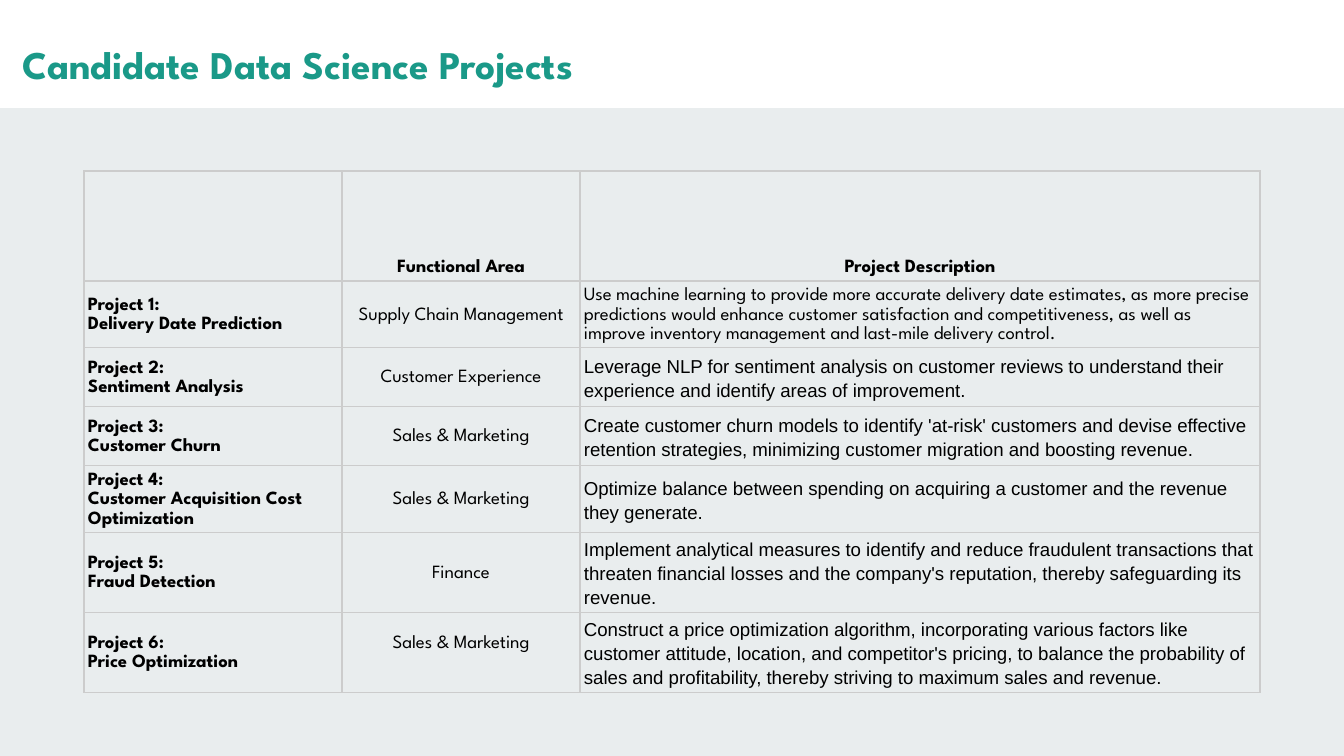
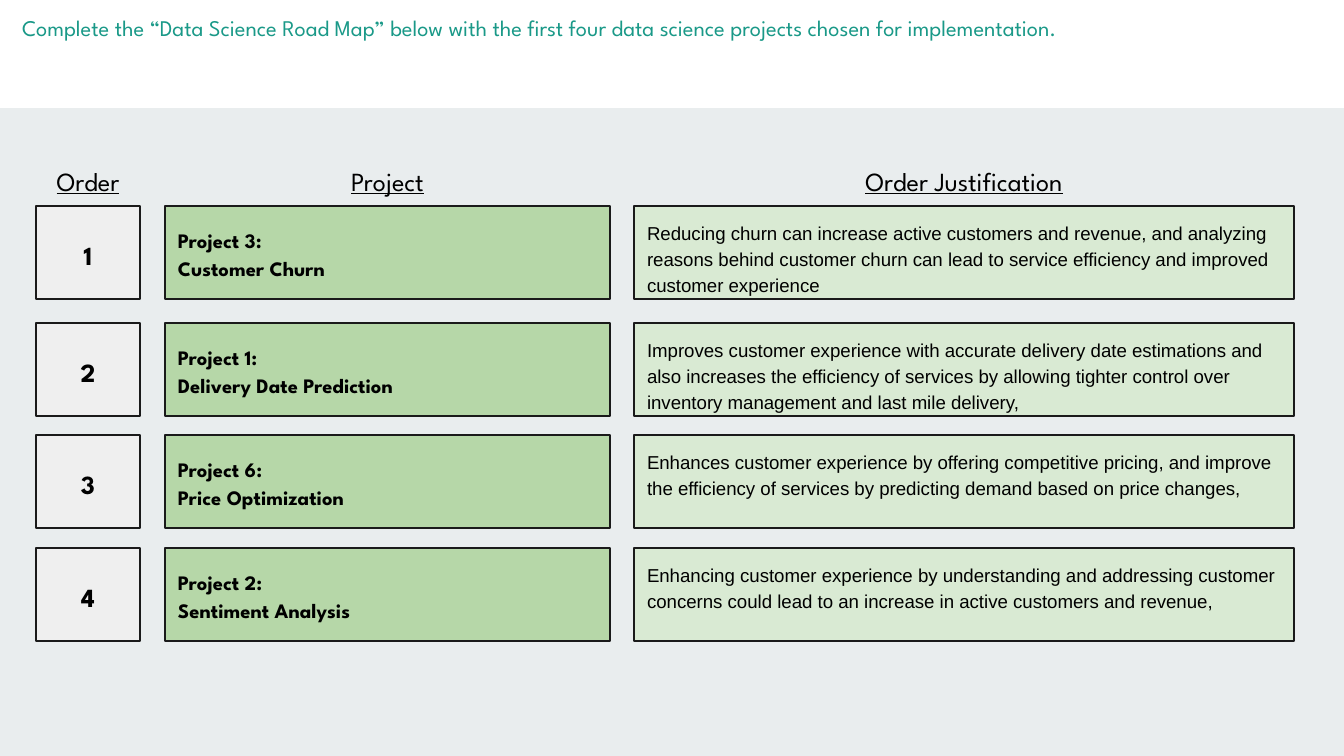
"""Build two slides: candidate data science projects and their road map."""
from lxml.etree import SubElement
from pptx import Presentation
from pptx.dml.color import RGBColor
from pptx.enum.shapes import MSO_SHAPE
from pptx.enum.text import MSO_ANCHOR, MSO_AUTO_SIZE, PP_ALIGN
from pptx.oxml.ns import qn
from pptx.util import Emu, Pt

WIDTH, HEIGHT = 1344, 756
SCALE = 9144000 / WIDTH
INSET, CELL_INSET = 13, 4

BACKGROUND = RGBColor(0xE9, 0xED, 0xEE)
WHITE = RGBColor(0xFF, 0xFF, 0xFF)
BLACK = RGBColor(0x00, 0x00, 0x00)
TEAL = RGBColor(0x1A, 0x99, 0x88)
OUTLINE = RGBColor(0x1A, 0x1A, 0x1A)
GREY = RGBColor(0xEF, 0xEF, 0xEF)
GREEN = RGBColor(0xB6, 0xD7, 0xA8)
PALE_GREEN = RGBColor(0xD9, 0xEA, 0xD3)
BORDER = "CCCCCC"
DISPLAY, BODY = "League Spartan", "Arial"

PROJECTS_TITLE = "Candidate Data Science Projects"
TABLE_HEADER = ("", "Functional Area", "Project Description")
PROJECTS = [
    ("Project 1:\nDelivery Date Prediction", "Supply Chain Management",
     "Use machine learning to provide more accurate delivery date estimates, as more precise "
     "predictions would enhance customer satisfaction and competitiveness, as well as improve "
     "inventory management and last-mile delivery control."),
    ("Project 2:\nSentiment Analysis", "Customer Experience",
     "Leverage NLP for sentiment analysis on customer reviews to understand their experience "
     "and identify areas of improvement."),
    ("Project 3:\nCustomer Churn", "Sales & Marketing",
     "Create customer churn models to identify 'at-risk' customers and devise effective "
     "retention strategies, minimizing customer migration and boosting revenue."),
    ("Project 4:\nCustomer Acquisition Cost Optimization", "Sales & Marketing",
     "Optimize balance between spending on acquiring a customer and the revenue they generate."),
    ("Project 5:\nFraud Detection", "Finance",
     "Implement analytical measures to identify and reduce fraudulent transactions that "
     "threaten financial losses and the company's reputation, thereby safeguarding its revenue."),
    ("Project 6:\nPrice Optimization", "Sales & Marketing",
     "Construct a price optimization algorithm, incorporating various factors like customer "
     "attitude, location, and competitor's pricing, to balance the probability of sales and "
     "profitability, thereby striving to maximum sales and revenue."),
]
TABLE_LEFT, TABLE_TOP = 84, 171
COLUMN_WIDTHS = (258, 238, 680)
HEADER_HEIGHT, ROW_HEIGHT = 110, 59

ROAD_MAP_TITLE = ("Complete the “Data Science Road Map” below with the first four "
                  "data science projects chosen for implementation.")
ROAD_MAP = [
    (3, "Reducing churn can increase active customers and revenue, and analyzing reasons behind "
        "customer churn can lead to service efficiency and improved customer experience"),
    (1, "Improves customer experience with accurate delivery date estimations and also increases "
        "the efficiency of services by allowing tighter control over inventory management and "
        "last mile delivery,"),
    (6, "Enhances customer experience by offering competitive pricing, and improve the efficiency "
        "of services by predicting demand based on price changes,"),
    (2, "Enhancing customer experience by understanding and addressing customer concerns could "
        "lead to an increase in active customers and revenue,"),
]
STEP_TOPS, STEP_HEIGHT = (206, 323, 435, 548), 93
HEADING_TOP, HEADING_HEIGHT = 156, 50
ROAD_MAP_COLUMNS = [
    {"heading": "Order", "heading_width": 103, "left": 36, "width": 104, "fill": GREY,
     "anchor": MSO_ANCHOR.MIDDLE,
     "style": {"size": 14, "bold": True, "align": PP_ALIGN.CENTER}},
    {"heading": "Project", "heading_width": 129, "left": 165, "width": 445, "fill": GREEN,
     "anchor": MSO_ANCHOR.MIDDLE, "style": {"size": 11, "bold": True}},
    {"heading": "Order Justification", "heading_width": 255, "left": 634, "width": 660,
     "fill": PALE_GREEN, "anchor": MSO_ANCHOR.TOP, "style": {"size": 10, "font": BODY}},
]


def px(length):
    return Emu(round(length * SCALE))


def place(left, top, width, height):
    return [px(length) for length in (left, top, width, height)]


def write(frame, text, size, font=DISPLAY, color=BLACK, bold=False, underline=False,
          align=PP_ALIGN.LEFT, spacing=1.15):
    frame.text = text
    for para in frame.paragraphs:
        para.alignment = align
        para.line_spacing = spacing
        para.font.name = font
        para.font.size = Pt(size)
        para.font.bold = bold
        para.font.underline = underline
        para.font.color.rgb = color


def set_frame(frame, anchor):
    frame.word_wrap = True
    frame.auto_size = MSO_AUTO_SIZE.NONE
    frame.vertical_anchor = anchor
    frame.margin_left = frame.margin_right = px(INSET)
    frame.margin_top = frame.margin_bottom = px(INSET)


def add_rectangle(page, bounds, fill, line=None):
    box = page.shapes.add_shape(MSO_SHAPE.RECTANGLE, *place(*bounds))
    box.shadow.inherit = False
    box.fill.solid()
    box.fill.fore_color.rgb = fill
    if line is None:
        box.line.fill.background()
    else:
        box.line.color.rgb = line
        box.line.width = Pt(0.75)
    return box


def add_page(deck, title, top, size, bold):
    page = deck.slides.add_slide(deck.slide_layouts[5])
    box = page.shapes.title
    box.left, box.top, box.width, box.height = place(9, top, 1134, 50)
    set_frame(box.text_frame, MSO_ANCHOR.TOP)
    write(box.text_frame, title, size, color=TEAL, bold=bold)
    return page


def add_shared_band(deck, page):
    deck.slide_master.background.fill.solid()
    deck.slide_master.background.fill.fore_color.rgb = BACKGROUND
    band = add_rectangle(page, (0, 0, WIDTH, 108), WHITE)
    page.slide_layout.shapes.element.insert(2, band.element)


def set_borders(cell):
    properties = cell._tc.get_or_add_tcPr()
    for side in ("lnL", "lnR", "lnT", "lnB"):
        line = SubElement(properties, qn(f"a:{side}"), w=str(Pt(0.75)))
        SubElement(SubElement(line, qn("a:solidFill")), qn("a:srgbClr"), val=BORDER)


def add_project_table(page):
    rows = [TABLE_HEADER, *PROJECTS]
    heights = [HEADER_HEIGHT] + [ROW_HEIGHT] * len(PROJECTS)
    bounds = place(TABLE_LEFT, TABLE_TOP, sum(COLUMN_WIDTHS), sum(heights))
    table = page.shapes.add_table(len(rows), len(COLUMN_WIDTHS), *bounds).table
    table.first_row = table.horz_banding = False
    for column, width in zip(table.columns, COLUMN_WIDTHS):
        column.width = px(width)
    for row_index, (values, height) in enumerate(zip(rows, heights)):
        table.rows[row_index].height = px(height)
        header = row_index == 0
        for column_index, text in enumerate(values):
            cell = table.cell(row_index, column_index)
            set_borders(cell)
            cell.fill.background()
            cell.margin_left = cell.margin_right = px(CELL_INSET)
            cell.margin_top = cell.margin_bottom = px(CELL_INSET)
            cell.vertical_anchor = MSO_ANCHOR.BOTTOM if header else MSO_ANCHOR.MIDDLE
            centred = header or column_index == 1
            write(cell.text_frame, text, 10,
                  font=BODY if column_index == 2 and row_index > 1 else DISPLAY,
                  bold=header or column_index == 0,
                  align=PP_ALIGN.CENTER if centred else PP_ALIGN.LEFT)
    table.cell(len(PROJECTS), 1).margin_bottom = px(CELL_INSET + 20)


def add_road_map(page):
    for column_index, column in enumerate(ROAD_MAP_COLUMNS):
        left, width = column["left"], column["width"]
        heading_width = column["heading_width"]
        heading_left = left + (width - heading_width) / 2
        heading = page.shapes.add_textbox(
            *place(heading_left, HEADING_TOP, heading_width, HEADING_HEIGHT))
        set_frame(heading.text_frame, MSO_ANCHOR.MIDDLE)
        write(heading.text_frame, column["heading"], 14, underline=True,
              align=PP_ALIGN.CENTER, spacing=None)
        for order, (top, (project, reason)) in enumerate(zip(STEP_TOPS, ROAD_MAP), 1):
            text = (str(order), PROJECTS[project - 1][0], reason)[column_index]
            box = add_rectangle(page, (left, top, width, STEP_HEIGHT), column["fill"], OUTLINE)
            set_frame(box.text_frame, column["anchor"])
            write(box.text_frame, text, **column["style"])


def main():
    deck = Presentation()
    deck.slide_width, deck.slide_height = px(WIDTH), px(HEIGHT)
    projects_page = add_page(deck, PROJECTS_TITLE, 20, 21, True)
    add_shared_band(deck, projects_page)
    add_project_table(projects_page)
    add_road_map(add_page(deck, ROAD_MAP_TITLE, -3, 12, False))
    deck.save("out.pptx")


if __name__ == "__main__":
    main()
